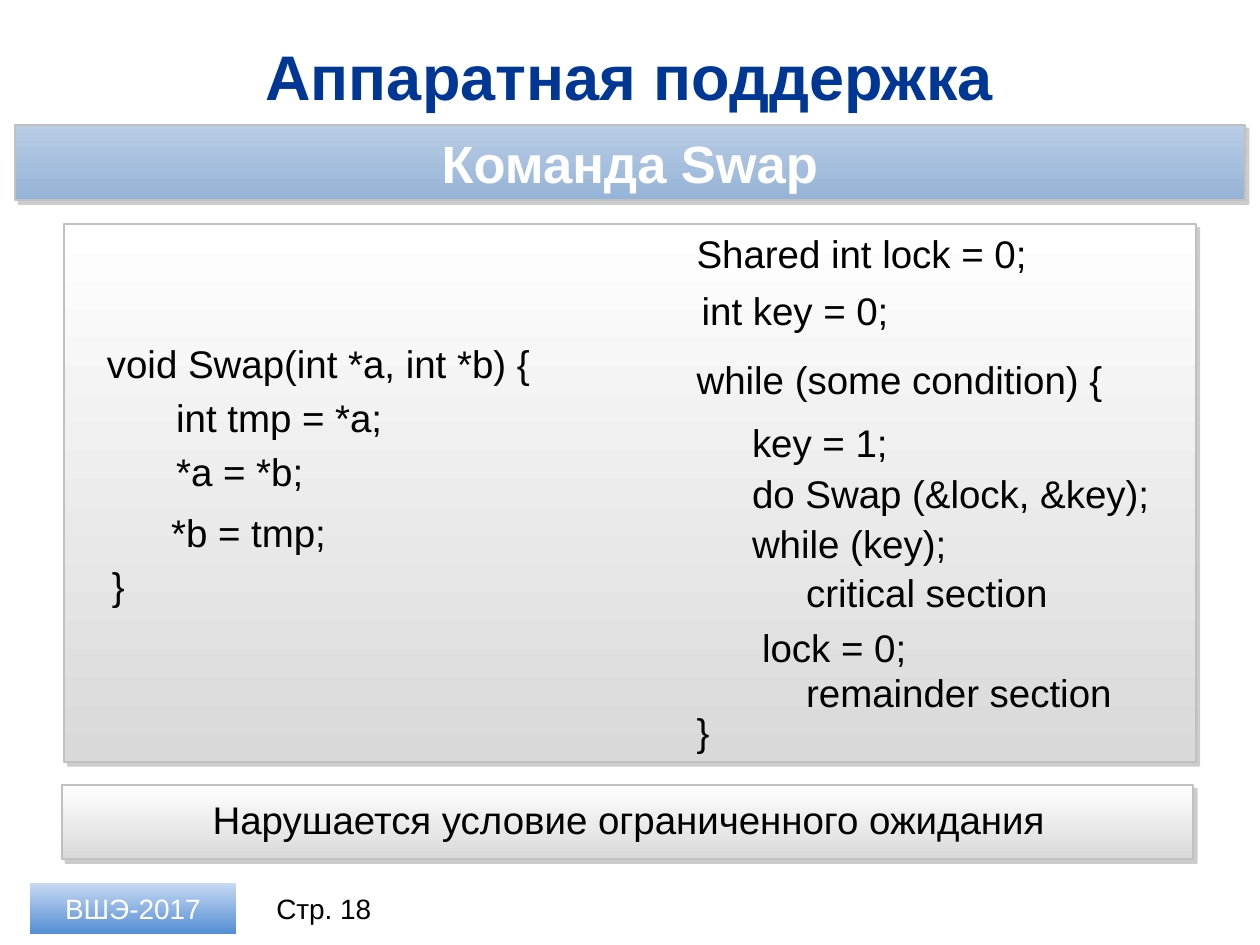
from lxml import etree
from pptx import Presentation
from pptx.dml.color import RGBColor
from pptx.enum.shapes import MSO_SHAPE
from pptx.enum.text import MSO_ANCHOR, PP_ALIGN
from pptx.oxml import parse_xml
from pptx.oxml.ns import nsdecls
from pptx.util import Inches, Pt

NAVY = RGBColor(0x00, 0x37, 0x94)
WHITE = RGBColor(0xFF, 0xFF, 0xFF)
BLACK = RGBColor(0x00, 0x00, 0x00)
BORDER = RGBColor(0xC0, 0xC0, 0xC0)
GREY_GRADIENT = (WHITE, RGBColor(0xD9, 0xD9, 0xD9))
BAND_GRADIENT = (RGBColor(0xB9, 0xCD, 0xE5), RGBColor(0x95, 0xB3, 0xD7))
BADGE_GRADIENT = (RGBColor(0xC6, 0xD9, 0xF1), RGBColor(0x55, 0x8E, 0xD5))

TITLE = "Аппаратная поддержка"
SUBTITLE = "Команда Swap"
CONCLUSION = "Нарушается условие ограниченного ожидания"
COURSE = "ВШЭ-2017"
PAGE = "Стр. 18"

# Code lines: left, top, text
SWAP_CODE = [
    (0.75, 2.65, "void Swap(int *a, int *b) {"),
    (1.3, 3.08, "int tmp = *a;"),
    (1.3, 3.51, "*a = *b;"),
    (1.26, 3.99, "*b = tmp;"),
    (0.79, 4.41, "}"),
]
LOCK_CODE = [
    (5.43, 1.78, "Shared int lock = 0;"),
    (5.47, 2.23, "int key = 0;"),
    (5.43, 2.78, "while (some condition) {"),
    (5.87, 3.28, "key = 1;"),
    (5.87, 3.68, "do Swap (&lock, &key);"),
    (5.87, 4.08, "while (key);"),
    (6.3, 4.47, "critical section"),
    (5.95, 4.9, "lock = 0;"),
    (6.3, 5.26, "remainder section"),
    (5.43, 5.57, "}"),
]
CODE_WIDTH = 4.02
LINE_HEIGHT = 0.47


def write(shape, text, size=22, color=BLACK, bold=False,
          align=PP_ALIGN.LEFT, anchor=MSO_ANCHOR.TOP):
    frame = shape.text_frame
    frame.word_wrap = True
    frame.vertical_anchor = anchor
    paragraph = frame.paragraphs[0]
    paragraph.alignment = align
    run = paragraph.add_run()
    run.text = text
    run.font.name = "Arial"
    run.font.size = Pt(size)
    run.font.bold = bold
    run.font.color.rgb = color


def add_text(slide, left, top, width, height, text, **text_format):
    box = slide.shapes.add_textbox(*map(Inches, (left, top, width, height)))
    write(box, text, **text_format)


def add_shadow(shape):
    properties = shape._element.spPr
    for empty_effects in properties.findall("{*}effectLst"):
        properties.remove(empty_effects)
    properties.append(parse_xml(
        f'<a:effectLst {nsdecls("a")}>'
        f'<a:outerShdw dist="{Pt(3)}" dir="2700000" algn="tl" rotWithShape="0">'
        '<a:srgbClr val="808080"><a:alpha val="40000"/></a:srgbClr>'
        '</a:outerShdw></a:effectLst>'))


def add_panel(slide, left, top, width, height, gradient, framed=True):
    """Add a rectangle shaded from top to bottom; framed adds border and shadow."""
    panel = slide.shapes.add_shape(
        MSO_SHAPE.RECTANGLE, *map(Inches, (left, top, width, height)))
    panel.shadow.inherit = False
    panel.fill.gradient()
    panel.fill.gradient_angle = 270
    for stop, color in zip(panel.fill.gradient_stops, gradient):
        stop.color.rgb = color
    if framed:
        panel.line.color.rgb = BORDER
        panel.line.width = Pt(1)
        add_shadow(panel)
    else:
        panel.line.fill.background()
    return panel


def main():
    deck = Presentation()
    deck.slide_width, deck.slide_height = Inches(10), Inches(7.5)
    slide = deck.slides.add_slide(deck.slide_layouts[5])
    centred = {"align": PP_ALIGN.CENTER, "anchor": MSO_ANCHOR.MIDDLE}

    title = slide.shapes.title
    title.left, title.top = Inches(0.35), Inches(0.26)
    title.width, title.height = Inches(9.29), Inches(0.68)
    write(title, TITLE, size=36, color=NAVY, bold=True, **centred)

    band = add_panel(slide, 0.12, 0.99, 9.76, 0.6, BAND_GRADIENT)
    write(band, SUBTITLE, size=30, color=WHITE, bold=True, **centred)

    add_panel(slide, 0.51, 1.78, 8.98, 4.27, GREY_GRADIENT)
    for left, top, code in SWAP_CODE + LOCK_CODE:
        add_text(slide, left, top, CODE_WIDTH, LINE_HEIGHT, code)

    add_panel(slide, 0.49, 6.23, 8.98, 0.59, GREY_GRADIENT)
    add_text(slide, 0.59, 6.27, 8.8, LINE_HEIGHT, CONCLUSION,
             align=PP_ALIGN.CENTER)

    badge = add_panel(slide, 0.24, 7.01, 1.63, 0.4, BADGE_GRADIENT, framed=False)
    write(badge, COURSE, size=16, color=WHITE, **centred)
    add_text(slide, 2.03, 7.01, 1.08, 0.4, PAGE, size=16, **centred)

    deck.save("out.pptx")


if __name__ == "__main__":
    main()
